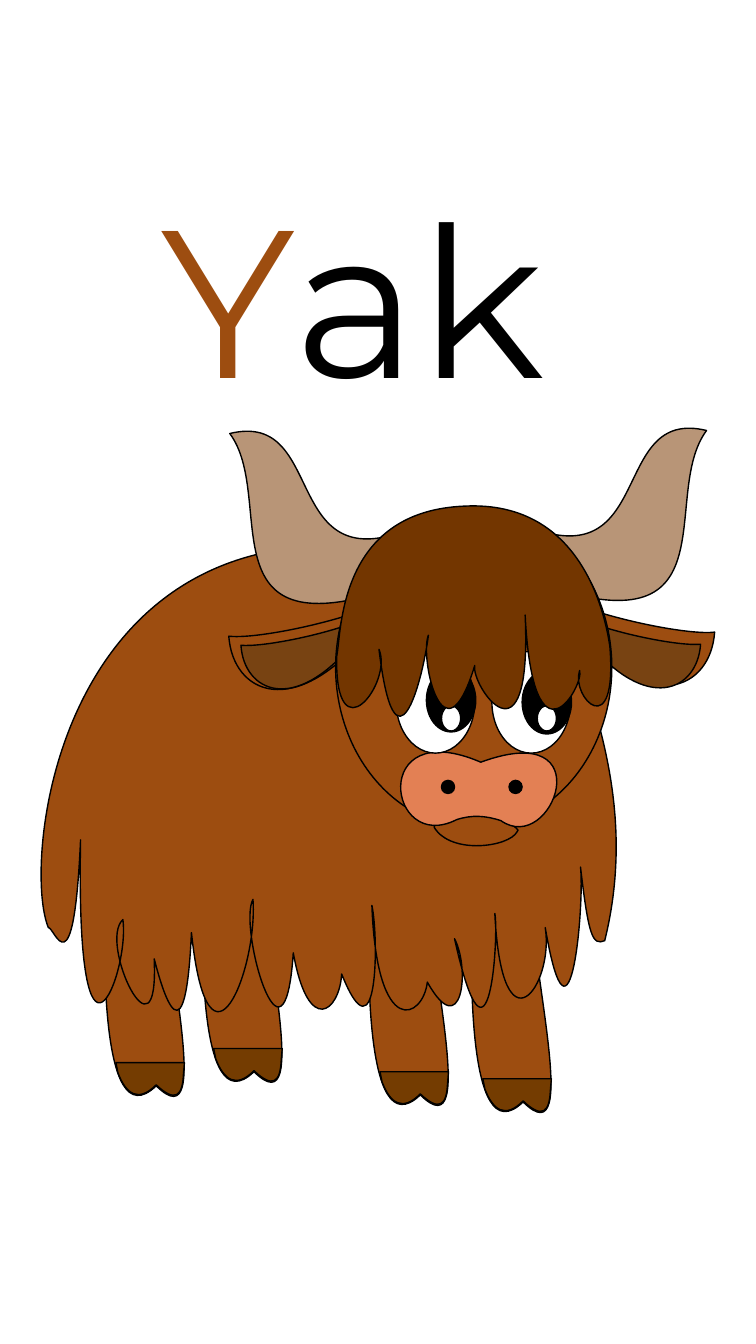
from lxml.etree import SubElement
from pptx import Presentation
from pptx.dml.color import RGBColor
from pptx.enum.shapes import MSO_SHAPE
from pptx.enum.text import MSO_AUTO_SIZE
from pptx.oxml.ns import qn
from pptx.util import Inches, Pt

OVAL = MSO_SHAPE.OVAL
GROW = MSO_AUTO_SIZE.SHAPE_TO_FIT_TEXT
COLUMNS, ROWS = 750, 1333
CURVE_STEPS = 24
COLORS = {
    "coat": "9D4D10", "hoof": "743C01", "horn": "B89577", "inner_ear": "784312",
    "muzzle": "E38054", "hair": "733600", "black": "000000", "white": "FFFFFF",
}

LEG = [(0, 0), (-57, 0), (-61, 70, -66, 276, -8, 220), (52, 279, -5, 73, 0, 0)]
HOOF = [(0, 0), (-68, 0), (-66, 10), (-58, 31, -46, 40, -28, 22),
        (-9, 40, -2, 33, -1, 12), (0, 0)]
EAR = [(709, 627), (686, 630, 610, 616, 559, 595), (570, 622),
       (644, 712, 705, 684, 709, 627)]
INNER_EAR = [(695, 639), (676, 641, 615, 630, 573, 613), (582, 635),
             (642, 709, 692, 685, 695, 639)]
HORN = [(701, 427), (603, 403, 652, 577, 518, 520), (553, 585),
        (725, 636, 655, 489, 701, 427)]
BODY = [
    (553, 595), (69, 387, 17, 845, 48, 920), (54, 919, 73, 988, 80, 833),
    (75, 1104, 129, 964, 122, 912), (97, 935, 158, 1062, 153, 951),
    (155, 957, 183, 1078, 190, 925), (207, 1086, 256, 960, 251, 892),
    (236, 919, 282, 1081, 291, 945), (306, 1029, 337, 1003, 339, 966),
    (375, 1056, 376, 931, 369, 898), (374, 1033, 420, 1010, 424, 974),
    (458, 1035, 467, 962, 451, 931), (486, 1089, 495, 925, 491, 906),
    (498, 1050, 550, 977, 541, 920), (566, 1066, 580, 895, 576, 860),
    (584, 929, 588, 938, 600, 933), (633, 799, 587, 691, 553, 595),
]
LIP = [(513, 825), (520, 822, 489, 808, 475, 807), (461, 807, 426, 817, 431, 821),
       (448, 848, 505, 840, 513, 825)]
MUZZLE = [(477, 756), (366, 708, 384, 848, 453, 813), (468, 808, 482, 809, 497, 814),
          (548, 850, 599, 711, 477, 756)]
HAIR = [
    (575, 665), (566, 692, 613, 739, 605, 641), (601, 615, 580, 496, 461, 502),
    (335, 507, 339, 627, 334, 651), (332, 752, 390, 677, 376, 644),
    (392, 777, 419, 677, 425, 630), (416, 652, 440, 762, 471, 660),
    (467, 680, 528, 769, 521, 610), (529, 770, 580, 679, 575, 665),
]


def place(outline, across, down, flip=1):
    return [tuple(down + value if index % 2 else across + flip * value
                  for index, value in enumerate(segment)) for segment in outline]


def bounds(outline):
    points = [outline[0]]
    for segment in outline[1:]:
        if len(segment) == 2:
            points.append(segment)
            continue
        controls = (*points[-1], *segment)
        for step in range(1, CURVE_STEPS + 1):
            t = step / CURVE_STEPS
            weights = ((1 - t) ** 3, 3 * t * (1 - t) ** 2, 3 * t * t * (1 - t), t ** 3)
            points.append(tuple(sum(weight * value for weight, value
                                    in zip(weights, controls[axis::2]))
                                for axis in (0, 1)))
    across, down = zip(*points)
    return min(across), min(down), max(across), max(down)


def add_run(paragraph, text, *, size, color, font):
    run = paragraph.add_run()
    run.text = text
    run.font.size = Pt(size)
    run.font.name = font
    run.font.color.rgb = RGBColor.from_string(COLORS[color])


class AnimalCard:
    font = "Montserrat"
    title_size = 150
    line_width = Pt(1)

    def __init__(self, presentation):
        self.slide = presentation.slides.add_slide(presentation.slide_layouts[6])
        self.column = presentation.slide_width / COLUMNS
        self.row = presentation.slide_height / ROWS
        self.drawing = None

    def cells(self, *values):
        return [round(value * (self.row if index % 2 else self.column))
                for index, value in enumerate(values)]

    def title(self, box, runs):
        frame = self.slide.shapes.add_textbox(*self.cells(*box)).text_frame
        frame.word_wrap = True
        frame.auto_size = GROW
        for text, color in runs:
            add_run(frame.paragraphs[0], text, size=self.title_size, color=color,
                    font=self.font)

    def start_drawing(self):
        self.drawing = self.slide.shapes.add_group_shape().shapes

    def paint(self, shape, color):
        shape.shadow.inherit = False
        shape.fill.solid()
        shape.fill.fore_color.rgb = RGBColor.from_string(COLORS[color])
        shape.line.color.rgb = RGBColor.from_string(COLORS["black"])
        shape.line.width = self.line_width

    def outline(self, outline, color):
        left, top, right, bottom = bounds(outline)
        builder = self.drawing.build_freeform(*self.cells(left, top))
        builder.add_line_segments([self.cells(right, bottom)])
        shape = builder.convert_to_shape()
        self.bend(shape, place(outline, -left, -top))
        self.paint(shape, color)

    def bend(self, shape, outline):
        contour = next(shape.element.iter(qn("a:path")))
        for child in list(contour):
            contour.remove(child)
        for index, segment in enumerate(outline):
            kind = "cubicBezTo" if len(segment) == 6 else "lnTo" if index else "moveTo"
            command = SubElement(contour, qn(f"a:{kind}"))
            values = self.cells(*segment)
            for x, y in zip(values[::2], values[1::2]):
                SubElement(command, qn("a:pt"), x=str(x), y=str(y))
        SubElement(contour, qn("a:close"))

    def oval(self, box, color):
        self.paint(self.drawing.add_shape(OVAL, *self.cells(*box)), color)


def main():
    presentation = Presentation()
    presentation.slide_width = Inches(7.5)
    presentation.slide_height = Inches(13.33)
    card = AnimalCard(presentation)
    card.title((150, 162, 648, 263), [("Y", "coat"), ("ak", "black")])
    card.start_drawing()

    for left, top in ((527, 873), (425, 866), (163, 857), (260, 843)):
        card.outline(place(LEG, left, top), "coat")
        card.outline(place(HOOF, left + 20, top + 197), "hoof")

    card.outline(EAR, "coat")
    card.outline(HORN, "horn")
    card.outline(BODY, "coat")
    card.outline(place(EAR, 936, 4, flip=-1), "coat")
    card.outline(place(HORN, 929, 3, flip=-1), "horn")
    card.outline(place(INNER_EAR, 934, 1, flip=-1), "inner_ear")
    card.outline(INNER_EAR, "inner_ear")

    card.oval((333, 503, 274, 318), "coat")
    card.outline(LIP, "coat")
    card.outline(MUZZLE, "muzzle")
    for left in (505, 438):
        card.oval((left, 774, 13, 13), "black")
    for left, pupil_top in ((393, 663), (488, 665)):
        card.oval((left, 646, 78, 101), "white")
        card.oval((left + 30, pupil_top, 49, 63), "black")
        card.oval((left + 45, 700, 19, 25), "white")
    card.outline(HAIR, "hair")
    presentation.save("out.pptx")


if __name__ == "__main__":
    main()
